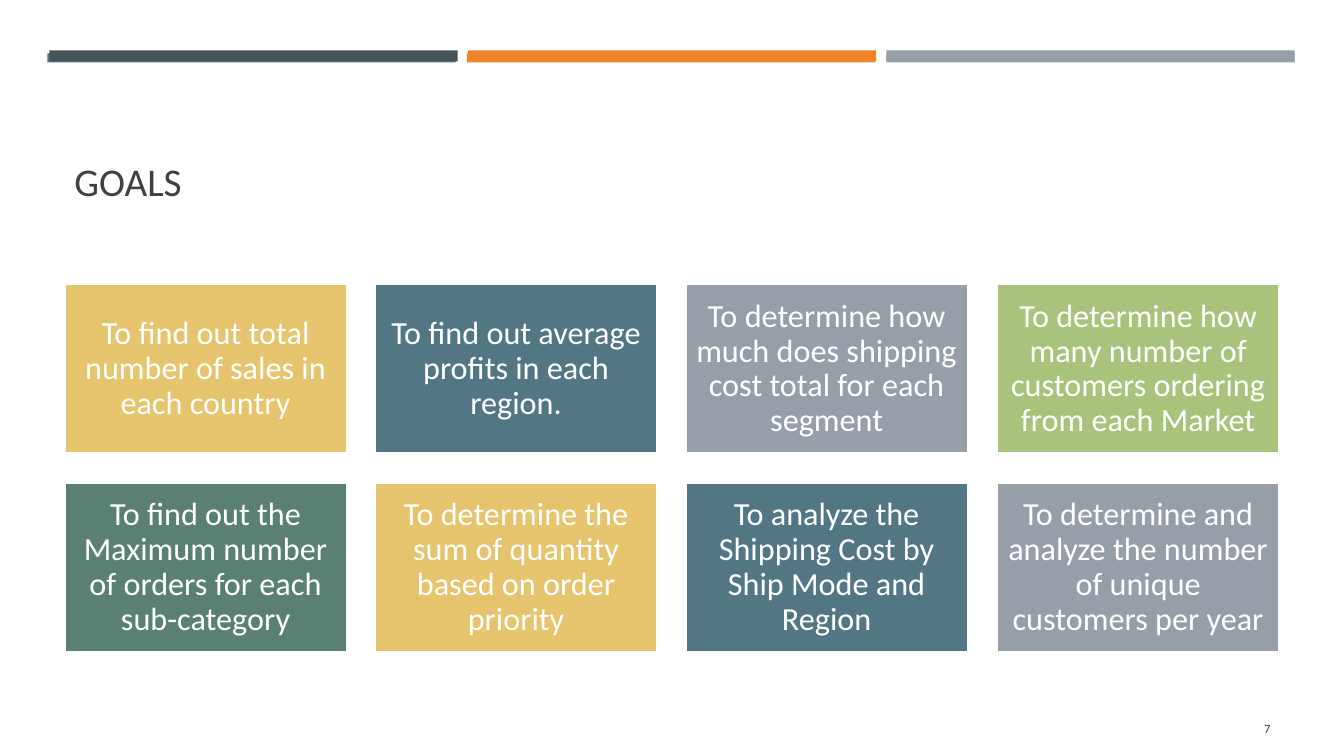
from dataclasses import dataclass
from itertools import cycle

from pptx import Presentation
from pptx.dml.color import RGBColor as Rgb
from pptx.enum.shapes import MSO_SHAPE as Kind
from pptx.enum.text import MSO_ANCHOR as Anchor, PP_ALIGN as Align
from pptx.shapes.autoshape import Shape
from pptx.slide import Slide
from pptx.util import Pt

SCALE = 9144
FONT = "Calibri"
COLORS = {
    "gold": "E6C46D",
    "teal": "537685",
    "gray": "969FA7",
    "lime": "A9C37C",
    "green": "5A8071",
    "slate": "465359",
    "orange": "ED8428",
    "white": "FFFFFF",
    "ink": "404040",
}
CARD_HUES = ["gold", "teal", "gray", "lime", "green"]
GOALS = [
    "To find out total number of sales in each country",
    "To find out average profits in each region.",
    "To determine how much does shipping cost total for each segment",
    "To determine how many number of customers ordering from each Market",
    "To find out the Maximum number of orders for each sub-category",
    "To determine the sum of quantity based on order priority",
    "To analyze the Shipping Cost by Ship Mode and Region",
    "To determine and analyze the number of unique customers per year",
]


@dataclass
class Box:
    left: int
    top: int
    width: int
    height: int

    def emu(self) -> tuple[int, int, int, int]:
        return (self.left * SCALE, self.top * SCALE,
                self.width * SCALE, self.height * SCALE)


@dataclass
class Band:
    left: int
    top: int
    step: int
    height: int
    hues: list[str]


@dataclass
class Label:
    text: str
    box: Box
    size: int
    anchor: Anchor
    align: Align


def paint(hue: str) -> Rgb:
    return Rgb.from_string(COLORS[hue])


def write(shape: Shape, text: str, size: int, hue: str,
          anchor: Anchor, align: Align) -> None:
    frame = shape.text_frame
    frame.word_wrap = True
    frame.vertical_anchor = anchor
    frame.text = text
    para = frame.paragraphs[0]
    para.alignment = align
    font = para.runs[0].font
    font.name = FONT
    font.size = Pt(size)
    font.color.rgb = paint(hue)


def add_block(slide: Slide, box: Box, hue: str) -> Shape:
    block = slide.shapes.add_shape(Kind.RECTANGLE, *box.emu())
    block.shadow.inherit = False
    block.fill.solid()
    block.fill.fore_color.rgb = paint(hue)
    block.line.fill.background()
    return block


def add_band(slide: Slide, band: Band) -> None:
    for col, hue in enumerate(band.hues):
        left = band.left + col * band.step
        add_block(slide, Box(left, band.top, 405, band.height), hue)


def add_label(slide: Slide, label: Label) -> None:
    shape = slide.shapes.add_textbox(*label.box.emu())
    write(shape, label.text, label.size, "ink", label.anchor, label.align)


def add_card(slide: Slide, box: Box, goal: str, hue: str) -> None:
    card = add_block(slide, box, hue)
    card.line.color.rgb = paint("white")
    card.line.width = Pt(1.75)
    write(card, goal, 23, "white", Anchor.MIDDLE, Align.CENTER)
    frame = card.text_frame
    frame.margin_left = frame.margin_right = 10 * SCALE
    frame.margin_top = frame.margin_bottom = 10 * SCALE
    frame.paragraphs[0].line_spacing = 0.9


def main() -> None:
    deck = Presentation()
    deck.slide_width = 1333 * SCALE
    deck.slide_height = 750 * SCALE
    slide = deck.slides.add_slide(deck.slide_layouts[6])

    bands = [
        Band(47, 53, 416, 9, ["teal", "orange", "gray"]),
        Band(49, 50, 415, 11, ["slate", "orange", "gray"]),
    ]
    for band in bands:
        add_band(slide, band)

    labels = [
        Label("GOALS", Box(64, 78, 1206, 130), 28, Anchor.BOTTOM, Align.LEFT),
        Label("7", Box(1155, 703, 115, 40), 9, Anchor.MIDDLE, Align.RIGHT),
    ]
    for label in labels:
        add_label(slide, label)

    for index, (goal, hue) in enumerate(zip(GOALS, cycle(CARD_HUES))):
        row, col = divmod(index, 4)
        box = Box(64 + col * 925 // 3, 282 + row * 197, 280, 168)
        add_card(slide, box, goal, hue)

    deck.save("out.pptx")


if __name__ == "__main__":
    main()
